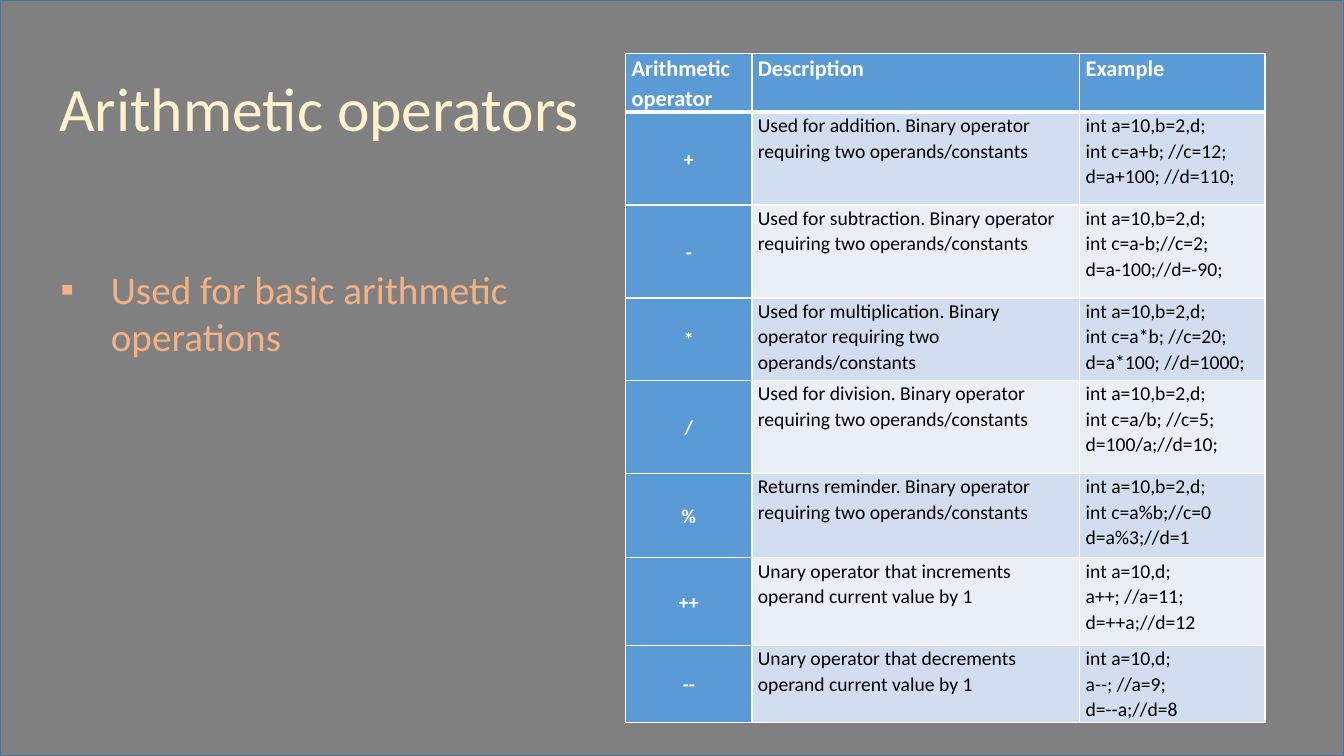
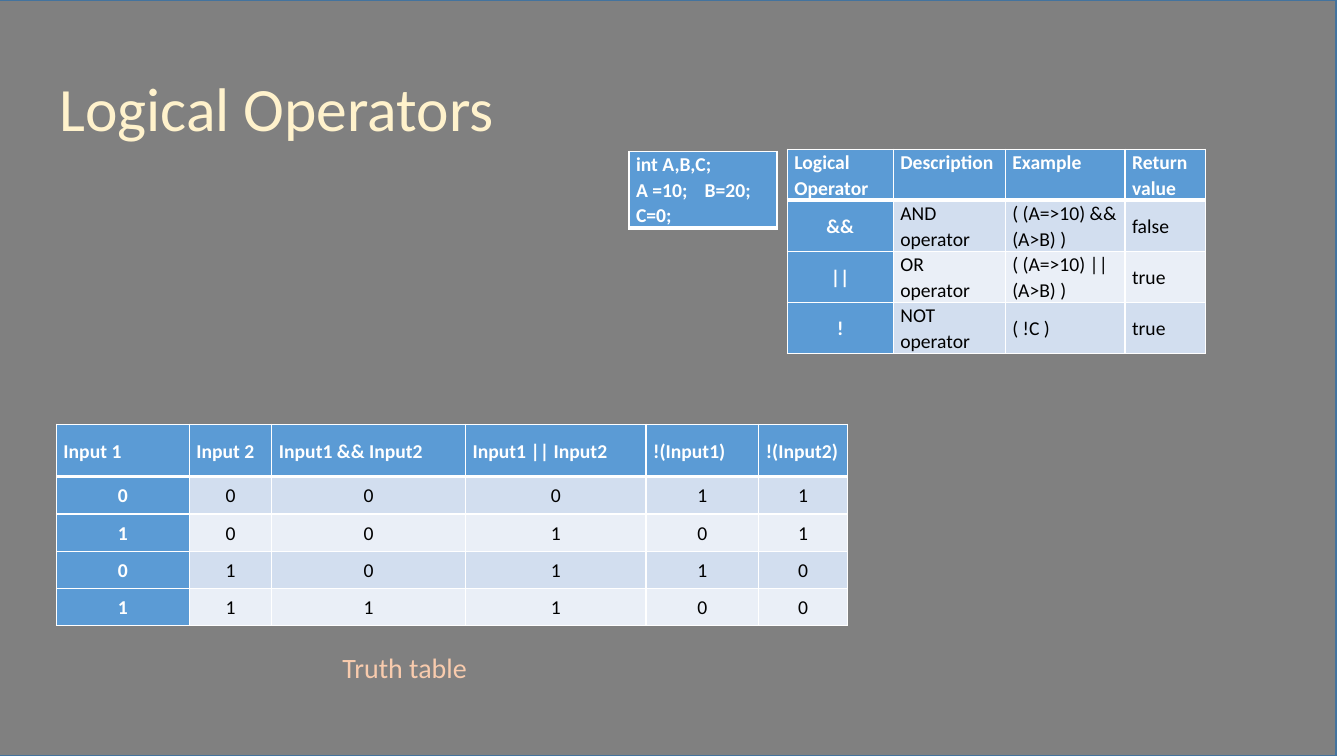
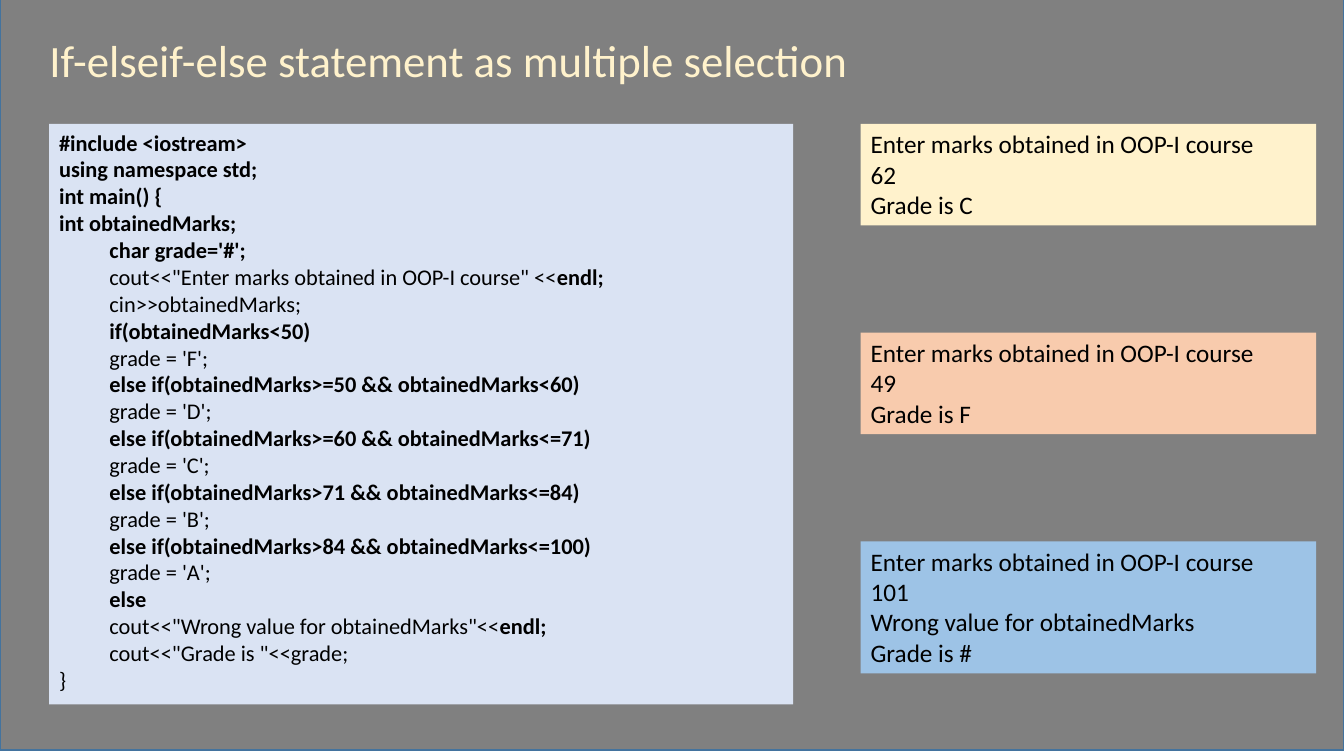
from dataclasses import dataclass

from lxml import etree
from pptx import Presentation
from pptx.dml.color import RGBColor
from pptx.enum import shapes, text
from pptx.oxml import ns
from pptx.util import Cm, Pt

LEFT, CENTER = text.PP_ALIGN.LEFT, text.PP_ALIGN.CENTER
TOP, MIDDLE = text.MSO_ANCHOR.TOP, text.MSO_ANCHOR.MIDDLE


@dataclass(frozen=True)
class Theme:
    font: str = "Calibri"
    backdrop: str = "808080"
    outline: str = "43739E"
    title: str = "FFF2CC"
    bullet: str = "F4B183"
    caption: str = "F8CBAD"
    accent: str = "5B9BD5"
    bands: tuple = ("D2DEEF", "EAEFF7")
    code: str = "DAE3F3"
    outputs: tuple = ("FFF2CC", "F8CBAD", "9DC3E6")
    light: str = "FFFFFF"
    dark: str = "000000"
    title_size: int = 44
    long_title_size: int = 32
    bullet_size: int = 28
    caption_size: int = 20
    output_size: int = 18
    code_size: int = 16
    cell_size: int = 14
    thin: int = 1
    thick: int = 3
    cell_spacing: float = 1.07


THEME = Theme()
WIDTH, HEIGHT = 33.87, 19.05

ARITHMETIC = [
    ["Arithmetic operator", "Description", "Example"],
    ["+", "Used for addition. Binary operator requiring two operands/constants",
     "int a=10,b=2,d;\nint c=a+b; //c=12;\nd=a+100; //d=110;"],
    ["-", "Used for subtraction. Binary operator requiring two operands/constants",
     "int a=10,b=2,d;\nint c=a-b;//c=2;\nd=a-100;//d=-90;"],
    ["*", "Used for multiplication. Binary operator requiring two operands/constants",
     "int a=10,b=2,d;\nint c=a*b; //c=20;\nd=a*100; //d=1000;"],
    ["/", "Used for division. Binary operator requiring two operands/constants",
     "int a=10,b=2,d;\nint c=a/b; //c=5;\nd=100/a;//d=10;"],
    ["%", "Returns reminder. Binary operator requiring two operands/constants",
     "int a=10,b=2,d;\nint c=a%b;//c=0\nd=a%3;//d=1"],
    ["++", "Unary operator that increments operand current value by 1",
     "int a=10,d;\na++; //a=11;\nd=++a;//d=12"],
    ["--", "Unary operator that decrements operand current value by 1",
     "int a=10,d;\na--; //a=9;\nd=--a;//d=8"],
]

LOGICAL = [
    ["Logical Operator", "Description", "Example", "Return value"],
    ["&&", "AND operator", "( (A=>10) && (A>B) )", "false"],
    ["||", "OR operator", "( (A=>10) || (A>B) )", "true"],
    ["!", "NOT operator", "( !C )", "true"],
]

VARIABLES = [["int A,B,C;\nA =10;\tB=20; C=0;"]]

TRUTH = [["Input 1", "Input 2", "Input1 && Input2", "Input1 || Input2",
          "!(Input1)", "!(Input2)"]]
TRUTH += [[str(int(value)) for value in (a, b, a and b, a or b, not a, not b)]
          for b in (0, 1) for a in (0, 1)]

OUTER_CODE = ["|#include <iostream>|", "|using namespace std;|",
              "|int main() {|", "|int obtainedMarks;|"]
INNER_CODE = [
    "|char grade='#';|",
    "cout<<\"Enter marks obtained in OOP-I course\" <<|endl;|",
    "cin>>obtainedMarks;",
    "|if(obtainedMarks<50)|",
    "grade = 'F';",
    "|else if(obtainedMarks>=50 && obtainedMarks<60)|",
    "grade = 'D';",
    "|else if(obtainedMarks>=60 && obtainedMarks<=71)|",
    "grade = 'C';",
    "|else if(obtainedMarks>71 && obtainedMarks<=84)|",
    "grade = 'B';",
    "|else if(obtainedMarks>84 && obtainedMarks<=100)|",
    "grade = 'A';",
    "|else|",
    "cout<<\"Wrong value for obtainedMarks\"<<|endl;|",
    "cout<<\"Grade is \"<<grade;",
]

PROMPT = "Enter marks obtained in OOP-I course"
OUTPUTS = [
    [PROMPT, "62", "Grade is C"],
    [PROMPT, "49", "Grade is F"],
    [PROMPT, "101", "Wrong value for obtainedMarks", "Grade is #"],
]


def rgb(color):
    return RGBColor.from_string(color)


def place(box, left, top, width, height):
    box.left, box.top = Cm(left), Cm(top)
    box.width, box.height = Cm(width), Cm(height)


def format_span(span, size, color, bold=False):
    font = span.font
    font.name, font.size, font.bold = THEME.font, Pt(size), bold
    font.color.rgb = rgb(color)


def format_frame(frame, size, color, bold=False, align=LEFT, spacing=1.0):
    for para in frame.paragraphs:
        para.alignment, para.line_spacing = align, spacing
        para.space_before = para.space_after = Pt(0)
        for span in para.runs:
            format_span(span, size, color, bold)


def fill_frame(box, words, size, color):
    frame = box.text_frame
    frame.text = words
    frame.word_wrap = True
    frame.auto_size = text.MSO_AUTO_SIZE.NONE
    frame.vertical_anchor = TOP
    format_frame(frame, size, color)
    return frame


def indent(para, margin, first=0):
    settings = para._p.get_or_add_pPr()
    settings.set("marL", str(Cm(margin)))
    settings.set("indent", str(Cm(first)))
    return settings


def add_panel(page, area, color, outline=None):
    box = page.shapes.add_shape(shapes.MSO_SHAPE.RECTANGLE, *map(Cm, area))
    box.shadow.inherit = False
    box.fill.solid()
    box.fill.fore_color.rgb = rgb(color)
    if outline:
        box.line.color.rgb = rgb(outline)
        box.line.width = Pt(THEME.thin)
    else:
        box.line.fill.background()
    return box


def start_page(deck, layout, title, area, size=THEME.title_size, shift=(0, 0)):
    page = deck.slides.add_slide(deck.slide_layouts.get_by_name(layout))
    backdrop = add_panel(page, (*shift, WIDTH, HEIGHT), THEME.backdrop, THEME.outline)
    backdrop._element.getparent().insert(2, backdrop._element)
    place(page.shapes.title, *area)
    fill_frame(page.shapes.title, title, size, THEME.title)
    return page


def add_bullet(page, words, area):
    box = page.placeholders[1]
    place(box, *area)
    frame = fill_frame(box, words, THEME.bullet_size, THEME.bullet)
    settings = indent(frame.paragraphs[0], 2.54, -1.27)
    etree.SubElement(settings, ns.qn("a:buChar")).set("char", "▪")


def set_borders(cell, top, bottom):
    settings = cell._tc.get_or_add_tcPr()
    widths = {"lnL": THEME.thin, "lnR": THEME.thin, "lnT": top, "lnB": bottom}
    for position, (side, width) in enumerate(widths.items()):
        line = etree.Element(ns.qn("a:" + side), w=str(Pt(width)))
        fill = etree.SubElement(line, ns.qn("a:solidFill"))
        etree.SubElement(fill, ns.qn("a:srgbClr")).set("val", THEME.light)
        settings.insert(position, line)


def format_cell(cell, words, row, column, side, size, anchor, align):
    header = row == 0
    strong = header or column == 0
    cell.text_frame.text = words
    cell.margin_left = cell.margin_right = Cm(side)
    cell.margin_top = cell.margin_bottom = 0
    cell.vertical_anchor = anchor
    cell.fill.solid()
    cell.fill.fore_color.rgb = rgb(THEME.accent if strong else THEME.bands[(row - 1) % 2])
    format_frame(cell.text_frame, size, THEME.light if strong else THEME.dark,
                 strong, align, THEME.cell_spacing)
    set_borders(cell, THEME.thick if row == 1 else THEME.thin,
                THEME.thick if header else THEME.thin)


def add_grid(page, data, left, top, columns, rows, side=0.18, header_size=THEME.cell_size,
             header_anchor=TOP, body_anchor=MIDDLE, body_align=LEFT):
    area = (left, top, sum(columns), sum(rows))
    table = page.shapes.add_table(len(rows), len(columns), *map(Cm, area)).table
    for column, width in zip(table.columns, columns):
        column.width = Cm(width)
    for row, height in zip(table.rows, rows):
        row.height = Cm(height)
    for r, record in enumerate(data):
        for c, words in enumerate(record):
            if r == 0:
                look = (header_size, header_anchor, LEFT)
            elif c == 0:
                look = (THEME.cell_size, MIDDLE, CENTER)
            else:
                look = (THEME.cell_size, body_anchor, body_align)
            format_cell(table.cell(r, c), words, r, c, side, *look)
    return table


def add_variables(page, left, top):
    table = add_grid(page, VARIABLES, left, top, [3.73], [1.9])
    settings = table.cell(0, 0).text_frame.paragraphs[1]._p.get_or_add_pPr()
    stops = etree.SubElement(settings, ns.qn("a:tabLst"))
    etree.SubElement(stops, ns.qn("a:tab"), pos=str(Cm(1.73)), algn="l")


def add_code(page, area):
    frame = add_panel(page, area, THEME.code).text_frame
    frame.word_wrap = True
    frame.vertical_anchor = TOP
    lines = [(0, line) for line in OUTER_CODE]
    lines += [(1.27, line) for line in INNER_CODE] + [(0, "}")]
    for number, (margin, line) in enumerate(lines):
        para = frame.add_paragraph() if number else frame.paragraphs[0]
        para.alignment = LEFT
        indent(para, margin)
        for part, words in enumerate(line.split("|")):
            if words:
                span = para.add_run()
                span.text = words
                format_span(span, THEME.code_size, THEME.dark, part % 2 == 1)


def add_outputs(page, left, top, width, step):
    for number, (lines, color) in enumerate(zip(OUTPUTS, THEME.outputs)):
        area = (left, top + number * step, width, 0.77 * len(lines) + 0.25)
        box = add_panel(page, area, color)
        fill_frame(box, "\n".join(lines), THEME.output_size, THEME.dark)


def build_arithmetic(deck):
    page = start_page(deck, "Title and Content", "Arithmetic operators",
                      (1.24, 1.63, 18.75, 2.13))
    add_bullet(page, "Used for basic arithmetic operations", (0, 6.55, 17, 3.84))
    add_grid(page, ARITHMETIC, 15.77, 1.35, [3.18, 8.26, 4.67],
             [1.46, 2.34, 2.34, 2.08, 2.34, 2.13, 2.21, 1.83],
             side=0.15, header_size=THEME.code_size, body_anchor=TOP)


def build_logical(deck):
    page = start_page(deck, "Title Only", "Logical Operators",
                      (1.24, 1.63, 18.75, 2.13), shift=(-0.2, 0))
    add_grid(page, LOGICAL, 19.84, 3.76, [2.67, 2.82, 3.02, 2.03], [1.27] * 4)
    add_variables(page, 15.85, 3.81)
    add_grid(page, TRUTH, 1.42, 10.69, [3.35, 2.08, 4.88, 4.55, 2.84, 2.24],
             [1.32] + [0.94] * 4, header_anchor=MIDDLE, body_align=CENTER)
    caption = page.shapes.add_textbox(*map(Cm, (8.38, 16.26, 6.05, 1.12)))
    fill_frame(caption, "Truth table", THEME.caption_size, THEME.caption)


def build_selection(deck):
    page = start_page(deck, "Title Only", "If-elseif-else statement as multiple selection",
                      (0.99, 0.69, 21.16, 1.63), THEME.long_title_size, (0, -0.15))
    add_code(page, (1.24, 3.12, 18.75, 14.63))
    add_outputs(page, 21.69, 3.12, 11.48, 5.26)


def main():
    deck = Presentation()
    deck.slide_width, deck.slide_height = Cm(WIDTH), Cm(HEIGHT)
    for build in (build_arithmetic, build_logical, build_selection):
        build(deck)
    deck.save("out.pptx")


if __name__ == "__main__":
    main()
